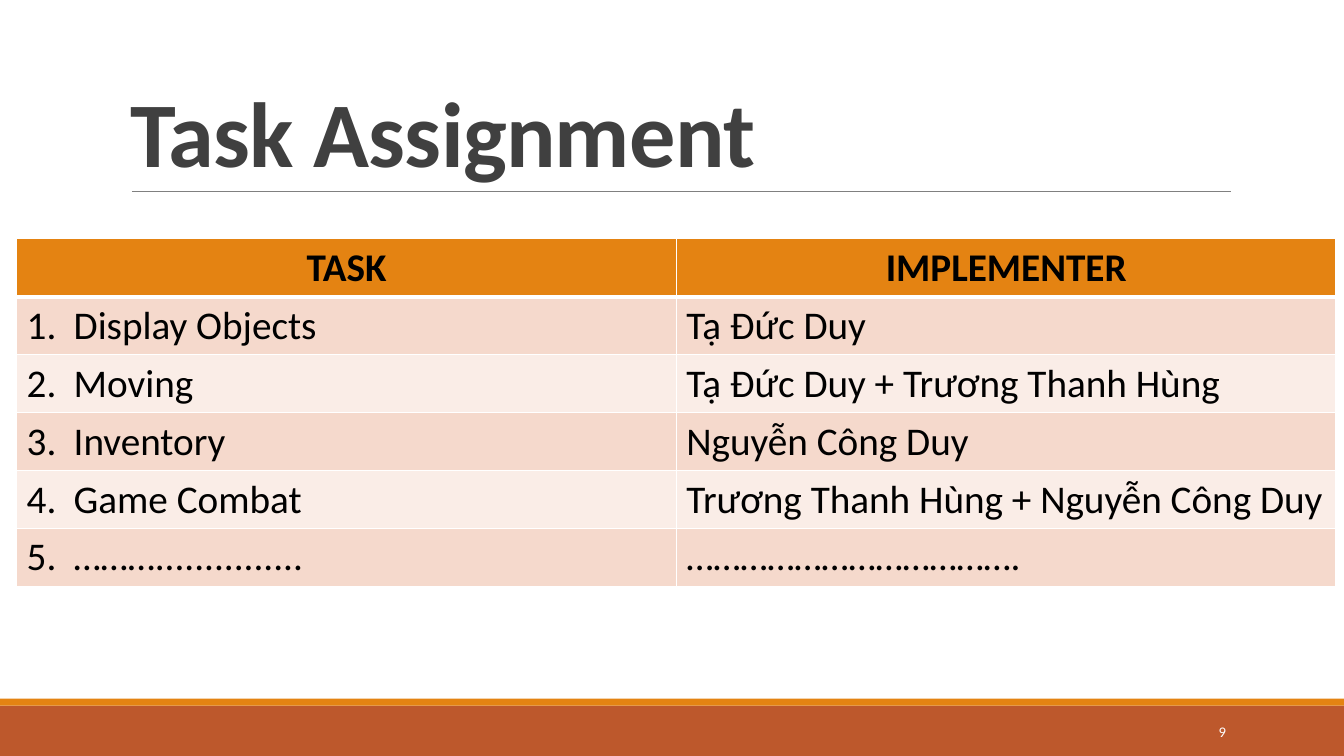
from lxml.etree import SubElement
from pptx import Presentation
from pptx.dml.color import RGBColor
from pptx.enum.shapes import MSO_CONNECTOR, MSO_SHAPE
from pptx.enum.text import MSO_ANCHOR, PP_ALIGN
from pptx.oxml.ns import qn
from pptx.util import Pt

TITLE = "Task Assignment"
HEADS = ("TASK", "IMPLEMENTER")
TASKS = [
    ("Display Objects", "Tạ Đức Duy"),
    ("Moving", "Tạ Đức Duy + Trương Thanh Hùng"),
    ("Inventory", "Nguyễn Công Duy"),
    ("Game Combat", "Trương Thanh Hùng + Nguyễn Công Duy"),
    ("………...............", "……………………………….",),
]
PAGE = "9"
FONT = "Calibri"
COLORS = {
    "white": "FFFFFF", "black": "000000", "title": "404040", "rule": "808080",
    "rust": "BD582C", "orange": "E48312", "dark": "F5D9CC", "light": "FAEDE7",
}
WIDE, HIGH = 960, 540
LEFT, TOP, COL, ROW = 11.88, 170.64, 471.24, 41.4
HANG = 33.6


def color(name):
    return RGBColor.from_string(COLORS[name])


def write(frame, text, size=28, ink="black", bold=False, align=PP_ALIGN.LEFT,
          anchor=MSO_ANCHOR.TOP, lead=None, track=None, hang=0):
    frame.word_wrap = True
    frame.vertical_anchor = anchor
    para = frame.paragraphs[0]
    para.alignment = align
    if lead:
        para.line_spacing = lead
    if hang:
        props = para._p.get_or_add_pPr()
        props.set("marL", str(Pt(hang)))
        props.set("indent", str(-Pt(hang)))
    run = para.add_run()
    run.text = text
    font = run.font
    font.name, font.size, font.bold = FONT, Pt(size), bold
    font.color.rgb = color(ink)
    if track:
        run._r.get_or_add_rPr().set("spc", str(int(track * 100)))


def box(slide, left, top, width, height, text, **style):
    shape = slide.shapes.add_textbox(Pt(left), Pt(top), Pt(width), Pt(height))
    write(shape.text_frame, text, **style)


def band(slide, top, height, fill):
    shape = slide.shapes.add_shape(
        MSO_SHAPE.RECTANGLE, 0, Pt(top), Pt(WIDE), Pt(height))
    shape.shadow.inherit = False
    shape.fill.solid()
    shape.fill.fore_color.rgb = color(fill)
    shape.line.fill.background()


def rule(slide, left, right, top):
    line = slide.shapes.add_connector(
        MSO_CONNECTOR.STRAIGHT, Pt(left), Pt(top), Pt(right), Pt(top))
    line.line.color.rgb = color("rule")
    line.line.width = Pt(0.5)
    SubElement(line._element.spPr, qn("a:effectLst"))


def paint(cell, fill, edges):
    props = cell._tc.get_or_add_tcPr()
    for side, width in edges.items():
        edge = SubElement(props, qn("a:ln" + side), w=str(Pt(width)))
        solid = SubElement(edge, qn("a:solidFill"))
        SubElement(solid, qn("a:srgbClr"), val=COLORS["white"])
    cell.fill.solid()
    cell.fill.fore_color.rgb = color(fill)


def grid(slide):
    rows = [HEADS]
    rows += [(f"{num}.\t{task}", who) for num, (task, who) in enumerate(TASKS, 1)]
    count, cols = len(rows), len(HEADS)
    table = slide.shapes.add_table(
        count, cols, Pt(LEFT), Pt(TOP), Pt(COL * cols), Pt(ROW * count)).table
    for col in table.columns:
        col.width = Pt(COL)
    for i, texts in enumerate(rows):
        table.rows[i].height = Pt(ROW)
        head = i == 0
        fill = "orange" if head else "dark" if i % 2 else "light"
        edges = {"L": 1, "R": 1, "T": 3 if i == 1 else 1, "B": 3 if head else 1}
        for j, text in enumerate(texts):
            cell = table.cell(i, j)
            paint(cell, fill, edges)
            write(cell.text_frame, text, bold=head,
                  align=PP_ALIGN.CENTER if head else PP_ALIGN.LEFT,
                  hang=0 if head or j else HANG)


def main():
    deck = Presentation()
    deck.slide_width, deck.slide_height = Pt(WIDE), Pt(HIGH)
    slide = deck.slides.add_slide(deck.slide_layouts[6])
    band(slide, 504, 36, "rust")
    band(slide, 499, 5, "orange")
    rule(slide, 94.3, 879, 136.8)
    box(slide, 86.4, 22.3, 792, 114.5, TITLE, size=66, ink="title", bold=True,
        anchor=MSO_ANCHOR.BOTTOM, lead=0.85, track=-0.5)
    grid(slide)
    box(slide, 779.8, 508.3, 103, 28.8, PAGE, size=10.5, ink="white",
        align=PP_ALIGN.RIGHT, anchor=MSO_ANCHOR.MIDDLE)
    deck.save("out.pptx")


if __name__ == "__main__":
    main()
